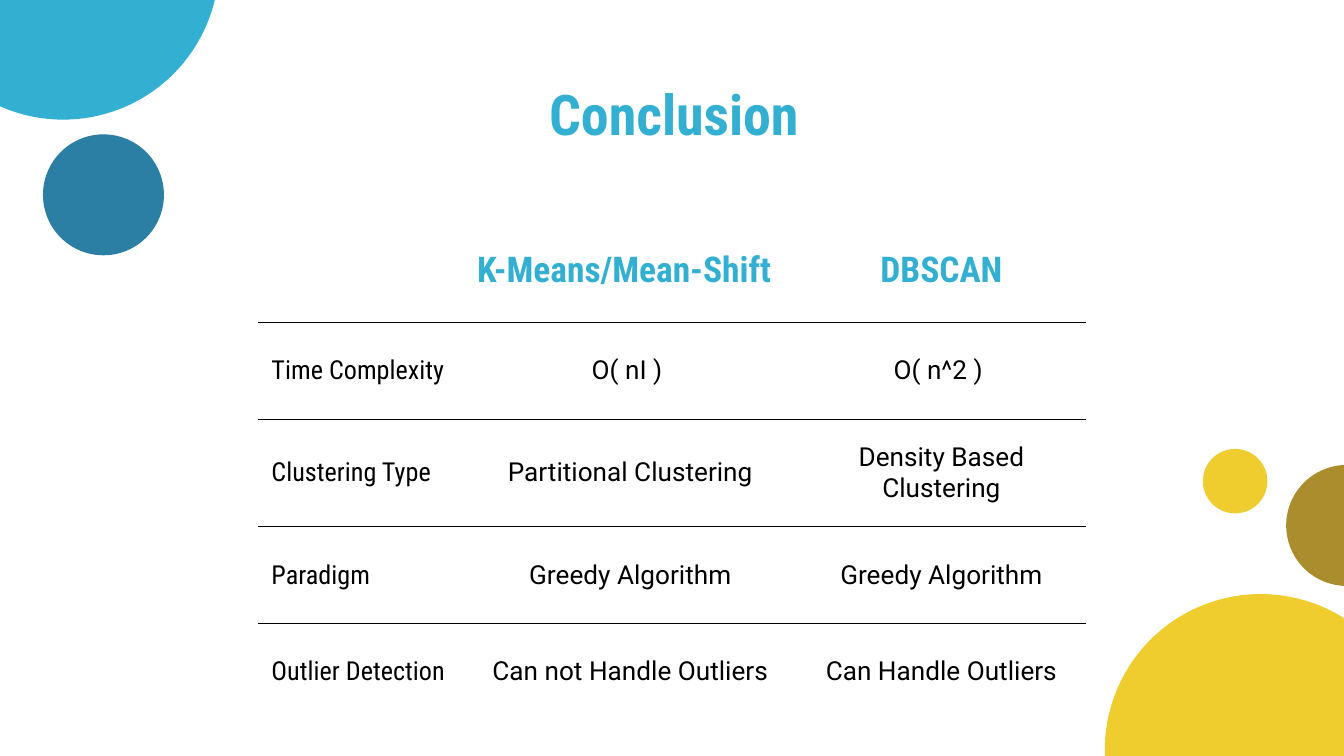
import pptx
import pptx.dml.color
import pptx.enum.shapes
import pptx.enum.text
import pptx.oxml
import pptx.oxml.ns
import pptx.util
from pptx.util import Inches

RGBColor = pptx.dml.color.RGBColor
ALIGN = pptx.enum.text.PP_ALIGN
SKY = RGBColor(0x33, 0xAF, 0xD1)
BLUE = RGBColor(0x2B, 0x7E, 0xA4)
YELLOW = RGBColor(0xEF, 0xCD, 0x2F)
OLIVE = RGBColor(0xAA, 0x8E, 0x2D)
BLACK = RGBColor(0, 0, 0)
CONDENSED = "Roboto Condensed"

CIRCLES = [
    (-0.69, -1.43, 2.32, SKY),
    (0.32, 1, 0.9, BLUE),
    (8.22, 4.42, 2.32, YELLOW),
    (8.95, 3.34, 0.48, YELLOW),
    (9.57, 3.46, 0.9, OLIVE),
]
TITLE = "Conclusion"
ROWS = [
    ("", "K-Means/Mean-Shift", "DBSCAN"),
    ("Time Complexity", "O( nI ) ", "O( n^2 ) "),
    ("Clustering Type", "Partitional Clustering", "Density Based Clustering"),
    ("Paradigm", "Greedy Algorithm", "Greedy Algorithm"),
    ("Outlier Detection", "Can not Handle Outliers", "Can Handle Outliers"),
]
COLUMN_WIDTHS = [1.53, 2.48, 2.15]
ROW_HEIGHTS = [0.77, 0.72, 0.8, 0.72, 0.72]


def write(text_frame, text, size, font_name, color, bold, alignment):
    text_frame.text = text
    paragraph = text_frame.paragraphs[0]
    paragraph.alignment = alignment
    for run in paragraph.runs:
        run.font.size = pptx.util.Pt(size)
        run.font.name = font_name
        run.font.bold = bold
        run.font.color.rgb = color


def set_borders(cell, visible):
    properties = cell._tc.get_or_add_tcPr()
    for position, side in enumerate(("lnL", "lnR", "lnT", "lnB")):
        if side in visible:
            fill = f'<a:solidFill><a:srgbClr val="{BLACK}"/></a:solidFill>'
        else:
            fill = "<a:noFill/>"
        properties.insert(position, pptx.oxml.parse_xml(
            f'<a:{side} {pptx.oxml.ns.nsdecls("a")} w="9525">{fill}</a:{side}>'))


def add_circle(slide, left, top, diameter, color):
    circle = slide.shapes.add_shape(
        pptx.enum.shapes.MSO_SHAPE.OVAL,
        Inches(left), Inches(top), Inches(diameter), Inches(diameter))
    circle.shadow.inherit = False
    circle.fill.solid()
    circle.fill.fore_color.rgb = color
    circle.line.fill.background()


def add_title(slide):
    title = slide.shapes.add_textbox(
        Inches(0.78), Inches(0.49), Inches(8.47), Inches(0.63))
    text_frame = title.text_frame
    text_frame.word_wrap = True
    text_frame.margin_left = text_frame.margin_right = Inches(0.1)
    text_frame.margin_top = text_frame.margin_bottom = Inches(0.1)
    write(text_frame, TITLE, 30, CONDENSED, SKY, True, ALIGN.CENTER)


def add_comparison(slide):
    table = slide.shapes.add_table(
        len(ROWS), len(COLUMN_WIDTHS), Inches(1.92), Inches(1.63),
        Inches(sum(COLUMN_WIDTHS)), Inches(sum(ROW_HEIGHTS))).table
    table.first_row = table.horz_banding = False
    for column, width in zip(table.columns, COLUMN_WIDTHS):
        column.width = Inches(width)
    for row_index, (row, height, texts) in enumerate(
            zip(table.rows, ROW_HEIGHTS, ROWS)):
        row.height = Inches(height)
        header = row_index == 0
        visible = []
        if not header:
            visible.append("lnT")
        if row_index < len(ROWS) - 1:
            visible.append("lnB")
        for column_index, (cell, text) in enumerate(zip(row.cells, texts)):
            cell.fill.background()
            cell.vertical_anchor = pptx.enum.text.MSO_ANCHOR.MIDDLE
            cell.margin_left = cell.margin_right = Inches(0.1)
            cell.margin_top = cell.margin_bottom = Inches(0.1)
            set_borders(cell, visible)
            left_aligned = column_index == 0 or (header and column_index == 1)
            write(cell.text_frame, text,
                  19 if header else 14,
                  CONDENSED if header or column_index == 0 else "Roboto",
                  SKY if header else BLACK, header,
                  ALIGN.LEFT if left_aligned else ALIGN.CENTER)


def main():
    presentation = pptx.Presentation()
    presentation.slide_width = Inches(10)
    presentation.slide_height = Inches(5.625)
    slide = presentation.slides.add_slide(presentation.slide_layouts[6])
    for circle in CIRCLES:
        add_circle(slide, *circle)
    add_title(slide)
    add_comparison(slide)
    presentation.save("out.pptx")


if __name__ == "__main__":
    main()
